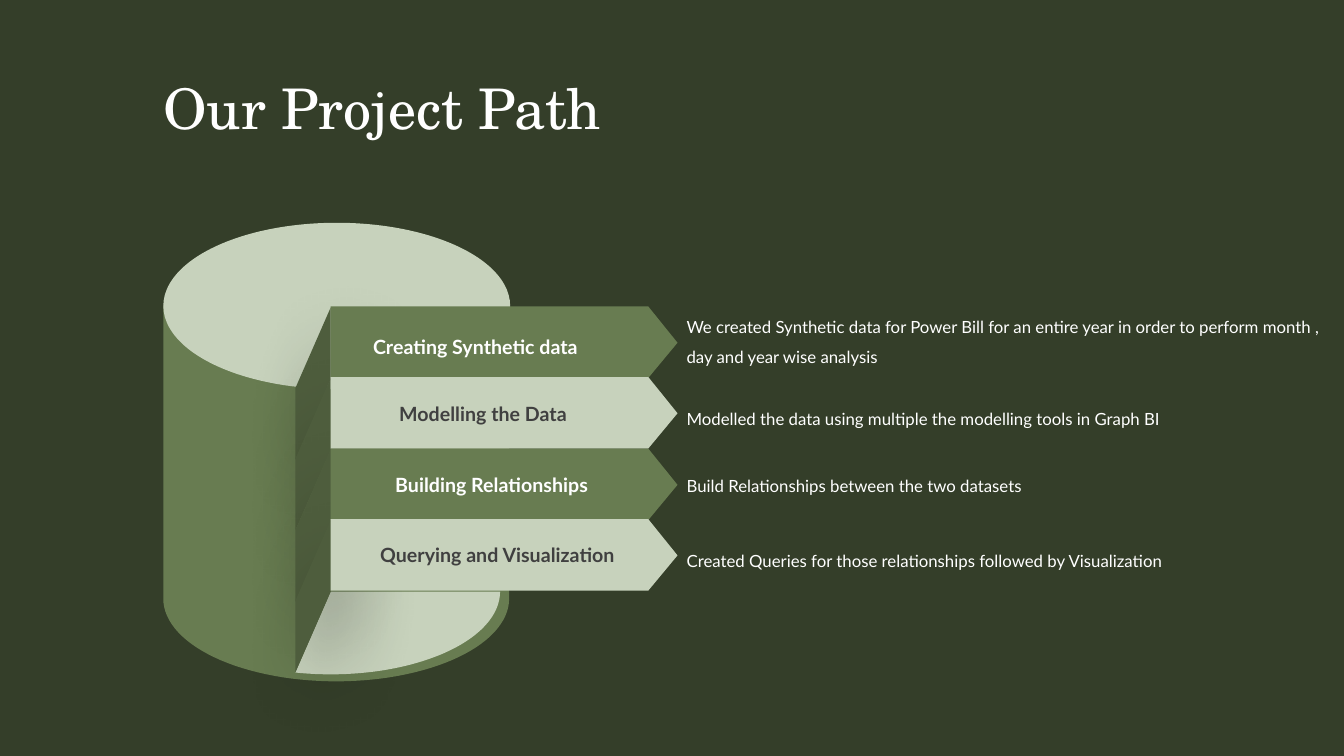
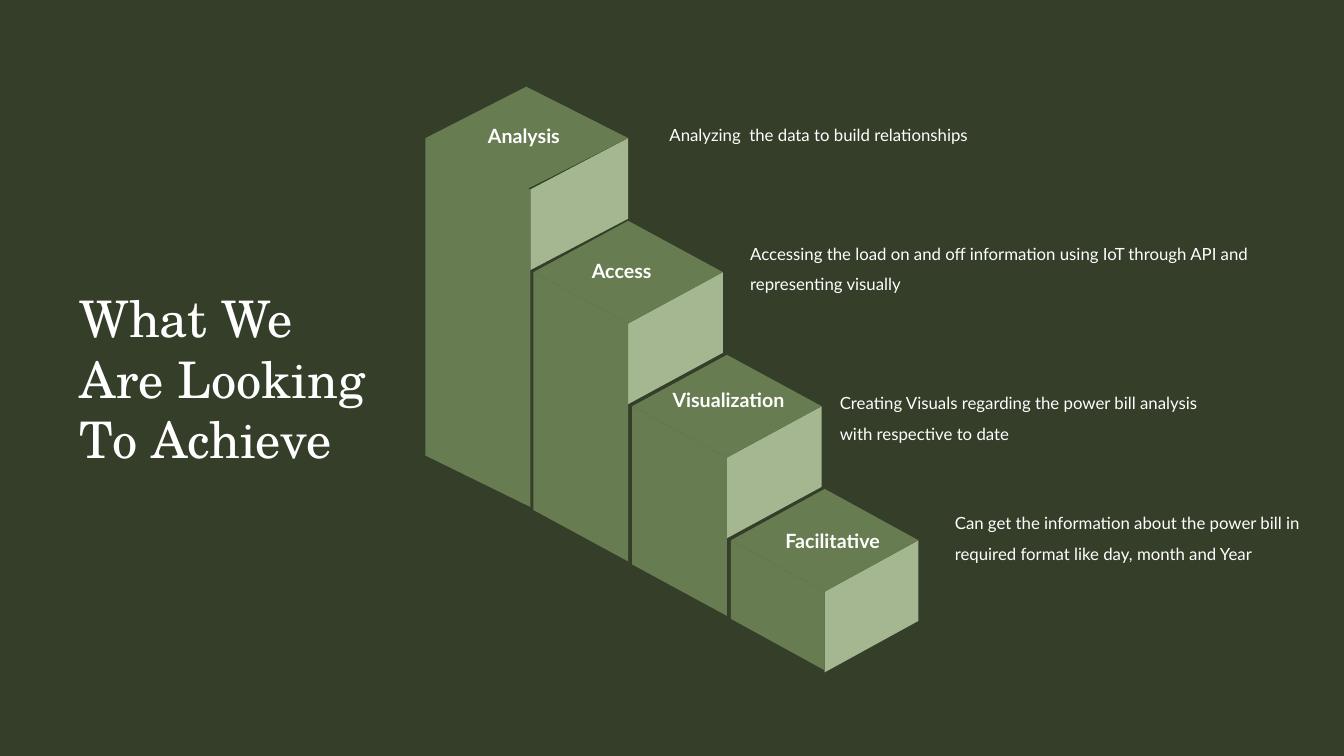
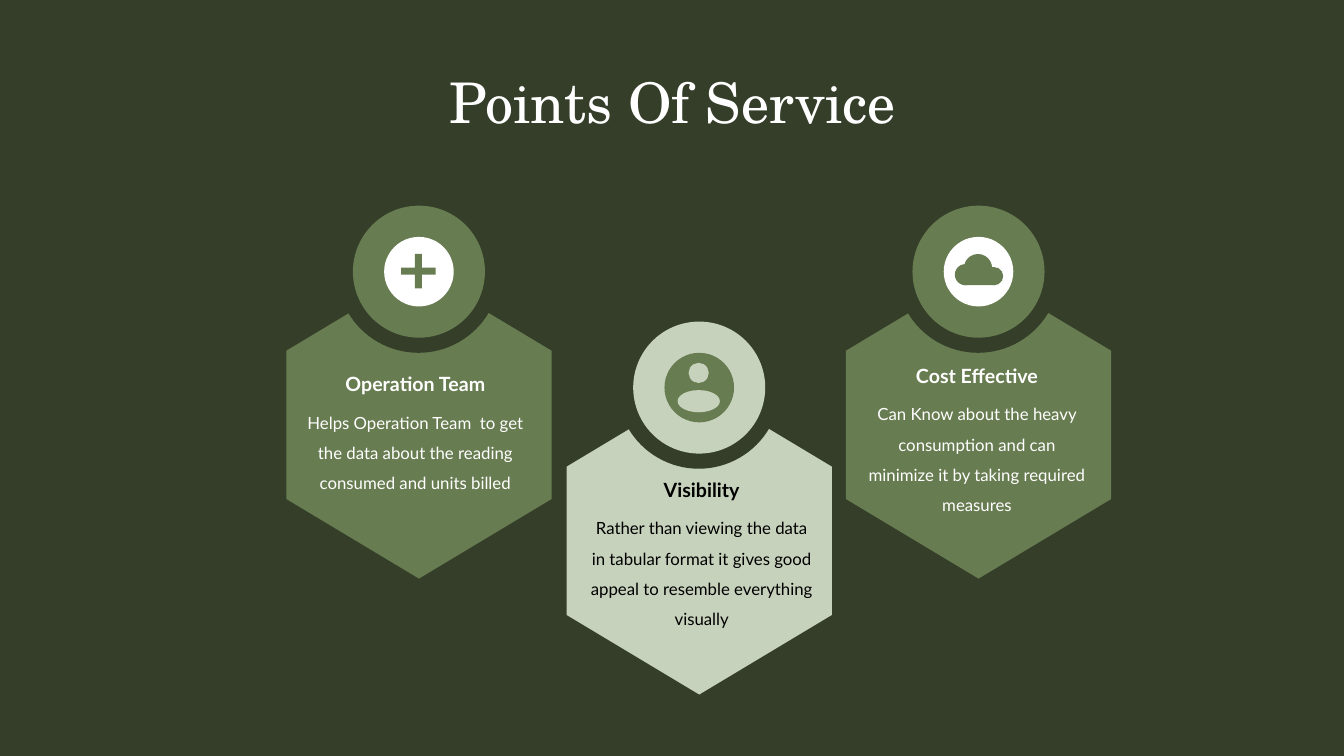
from dataclasses import dataclass
from math import cos, radians, sin

from lxml.etree import SubElement
from pptx import Presentation
from pptx.dml.color import RGBColor
from pptx.enum.shapes import MSO_SHAPE as SHAPE
from pptx.enum.text import MSO_ANCHOR as ANCHOR, MSO_AUTO_SIZE as AUTO, PP_ALIGN as ALIGN
from pptx.oxml.ns import qn
from pptx.util import Pt

PX = 9144  # one px is a hundredth of an inch
TITLE_ONLY = 5


@dataclass(frozen=True)
class Theme:
    ground: str = "343E29"
    green: str = "687C51"
    pale: str = "C7D2BC"
    light: str = "A5B790"
    wall: str = "4E5D3D"
    white: str = "FFFFFF"
    grey: str = "404040"
    black: str = "000000"
    title_font: str = "TeX Gyre Schola"
    text_font: str = "Lato"
    title_size: int = 40
    side_title_size: int = 36
    label_size: int = 14
    note_size: int = 12
    title_spacing: int = 44
    note_spacing: float = 1.5


T = Theme()
FRAME = dict(word_wrap=True, auto_size=AUTO.NONE, margin_left=0, margin_right=0,
             margin_top=0, margin_bottom=0)
LABEL = dict(name=T.text_font, size=Pt(T.label_size), bold=True)
NOTE = dict(name=T.text_font, size=Pt(T.note_size), bold=False)


def apply(target, values):
    for key, value in values.items():
        setattr(target, key, value)


def arc(cx, cy, rx, ry, start, end, steps=60):
    """Points on an ellipse, clockwise in degrees from the right."""
    angles = [radians(start + (end - start) * i / steps) for i in range(steps + 1)]
    return [(cx + rx * cos(a), cy + ry * sin(a)) for a in angles]


class Deck:
    def __init__(self, width, height):
        self.prs = Presentation()
        self.prs.slide_width, self.prs.slide_height = width * PX, height * PX
        fill = self.prs.slide_master.background.fill
        fill.solid()
        fill.fore_color.rgb = RGBColor.from_string(T.ground)
        self.slide = None

    def new_slide(self):
        self.slide = self.prs.slides.add_slide(self.prs.slide_layouts[TITLE_ONLY])

    # Text
    def set_text(self, s, text, font, color, align, spacing, anchor):
        tf = s.text_frame
        apply(tf, FRAME)
        tf.vertical_anchor = anchor
        p = tf.paragraphs[0]
        apply(p, dict(alignment=align, line_spacing=spacing))
        r = p.add_run()
        r.text = text
        apply(r.font, font)
        r.font.color.rgb = RGBColor.from_string(color)

    def title(self, box, text, size=T.title_size, align=ALIGN.LEFT, spacing=None):
        s = self.slide.shapes.title
        s.left, s.top, s.width, s.height = (v * PX for v in box)
        font = dict(name=T.title_font, size=Pt(size))
        self.set_text(s, text, font, T.white, align, spacing, ANCHOR.MIDDLE)

    def text(self, box, text, font, color, align, spacing=None):
        s = self.slide.shapes.add_textbox(*(v * PX for v in box))
        self.set_text(s, text, font, color, align, spacing, ANCHOR.TOP)

    def label(self, box, text, color=T.white, align=ALIGN.LEFT):
        self.text(box, text, LABEL, color, align)

    def note(self, box, text, color=T.white, align=ALIGN.LEFT):
        self.text(box, text, NOTE, color, align, T.note_spacing)

    # Shapes
    def paint(self, s, color):
        s.shadow.inherit = False
        s.fill.solid()
        s.fill.fore_color.rgb = RGBColor.from_string(color)
        s.line.fill.background()
        return s

    def shape(self, kind, box, color, adjust=None, rotation=0):
        s = self.slide.shapes.add_shape(kind, *(v * PX for v in box))
        if adjust is not None:
            s.adjustments[0] = adjust
        s.rotation = rotation
        return self.paint(s, color)

    def outline(self, points, color):
        (x, y), *rest = [(round(x * PX), round(y * PX)) for x, y in points]
        builder = self.slide.shapes.build_freeform(x, y)
        builder.add_line_segments(rest, close=True)
        return self.paint(builder.convert_to_shape(), color)

    def cast_shadow(self, s, blur=52, dist=20, angle=45, opacity=40):
        effects = s._element.spPr.find(qn("a:effectLst"))
        shadow = SubElement(effects, qn("a:outerShdw"), blurRad=str(Pt(blur)),
                            dist=str(Pt(dist)), dir=str(angle * 60000),
                            algn="tl", rotWithShape="0")
        color = SubElement(shadow, qn("a:srgbClr"), val=T.black)
        SubElement(color, qn("a:alpha"), val=str(opacity * 1000))

    # Compound figures
    def step(self, left, mid, right, top, base):
        """A block with a front side, a lit end and a rhombic top."""
        depth, thick = 51, 80
        shoulder, corner = top + depth, top + 2 * depth
        self.outline([(right, shoulder), (right, shoulder + thick),
                      (mid, corner + thick), (mid, corner)], T.light)
        self.outline([(left, shoulder), (mid, corner),
                      (mid, base + depth), (left, base)], T.green)
        apex = (left + right) // 2
        self.outline([(apex, top), (right, shoulder), (apex, corner), (left, shoulder)],
                     T.green)

    def card(self, cx, top, color, disc, mark, icon):
        """A hexagon with a badge; icon parts are offsets from the badge centre."""
        cy = top + 81
        self.shape(SHAPE.HEXAGON, (cx - 152, top + 102, 305, 263), color, 0.3, 90)
        for size, fill in ((162, T.ground), (131, color), (69, disc)):
            self.shape(SHAPE.OVAL, (cx - size // 2, cy - size // 2, size, size), fill)
        for kind, dx, dy, w, h, adjust in icon:
            self.shape(kind, (cx + dx, cy + dy, w, h), mark, adjust)


def project_path(deck):
    deck.new_slide()
    deck.title((162, 78, 1010, 62), "Our Project Path", spacing=Pt(T.title_spacing))

    # Cylinder with a cut-out floor
    deck.outline([(162, 303), (505, 303)] + arc(333.5, 594, 171.5, 82, 0, 180), T.green)
    deck.shape(SHAPE.OVAL, (162, 221, 344, 165), T.pale)
    deck.outline([(328, 587)] + arc(328, 587, 168, 82, 0, 102), T.pale)

    tops = [304 + 141 * i // 2 for i in range(4)]
    for y in tops:
        wall = deck.outline([(328, y + 1), (293, y + 81), (293, y + 152), (328, y + 72)],
                            T.wall)
        deck.cast_shadow(wall)

    # Arrow bands: label box, label, note box, note
    bands = [
        ((370, 332, 279, 24), "Creating Synthetic data", (681, 304, 636, 57),
         "We created Synthetic data for Power Bill for an entire year in order to "
         "perform month , day and year wise analysis"),
        ((396, 399, 196, 24), "Modelling the Data", (681, 396, 491, 26),
         "Modelled the data using multiple the modelling tools in Graph BI"),
        ((392, 469, 196, 24), "Building Relationships", (681, 462, 438, 27),
         "Build Relationships between the two datasets"),
        ((377, 539, 265, 24), "Querying and Visualization", (681, 536, 592, 26),
         "Created Queries for those relationships followed by Visualization"),
    ]
    looks = [(T.green, T.white), (T.pale, T.grey)] * 2
    for y, (fill, ink), (label_box, label, note_box, note) in zip(tops, looks, bands):
        deck.outline([(328, y), (643, y), (672, y + 36), (643, y + 71), (328, y + 71)], fill)
        deck.label(label_box, label, ink)
        deck.note(note_box, note)


def goals(deck):
    deck.new_slide()
    deck.title((79, 284, 285, 182), "What We Are Looking To Achieve", T.side_title_size)

    # Steps: left, middle and right edge, label box, label, note box, note
    steps = [
        ((422, 526, 623), (484, 123, 96, 24), "Analysis", (664, 114, 466, 26),
         "Analyzing  the data to build relationships"),
        ((529, 623, 717), (587, 257, 112, 24), "Access", (744, 232, 558, 57),
         "Accessing the load on and off information using IoT through API and "
         "representing visually"),
        ((627, 721, 815), (667, 385, 129, 24), "Visualization", (833, 380, 380, 57),
         "Creating Visuals regarding the power bill analysis with respective to date"),
        ((725, 818, 911), (779, 525, 149, 24), "Facilitative", (947, 499, 368, 57),
         "Can get the information about the power bill in required format like day, "
         "month and Year"),
    ]
    for i, (edges, label_box, label, note_box, note) in enumerate(steps):
        deck.step(*edges, top=86 + 133 * i, base=452 + 54 * i)
        deck.label(label_box, label)
        deck.note(note_box, note)


def services(deck):
    deck.new_slide()
    deck.title((100, 72, 1134, 62), "Points Of Service", align=ALIGN.CENTER,
               spacing=Pt(T.title_spacing))

    plus = [(SHAPE.CROSS, -17, -17, 34, 34, 0.4)]
    person = [(SHAPE.OVAL, -10, -24, 20, 20, None), (SHAPE.OVAL, -21, 3, 42, 22, None)]
    cloud = [(SHAPE.OVAL, -23, -7, 21, 21, None), (SHAPE.OVAL, -14, -17, 28, 28, None),
             (SHAPE.OVAL, 7, -4, 18, 18, None), (SHAPE.RECTANGLE, -13, -4, 29, 18, None)]
    green_look = (T.green, T.white, T.green)
    pale_look = (T.pale, T.green, T.pale)

    # Cards: centre, top, colours, icon, ink, text left and top, heading, body
    cards = [
        (415, 188, green_look, plus, T.white, 301, 369, "Operation Team",
         "Helps Operation Team  to get the data about the reading consumed and units billed"),
        (693, 303, pale_look, person, T.black, 585, 474, "Visibility",
         "Rather than viewing the data in tabular format it gives good appeal to "
         "resemble everything visually"),
        (970, 188, green_look, cloud, T.white, 858, 361, "Cost Effective",
         "Can Know about the heavy consumption and can minimize it by taking "
         "required measures"),
    ]
    for cx, top, look, icon, ink, x, y, heading, body in cards:
        deck.card(cx, top, *look, icon)
        deck.label((x, y, 222, 24), heading, ink, ALIGN.CENTER)
        deck.note((x, y + 30, 222, 118), body, ink, ALIGN.CENTER)


def main():
    deck = Deck(1333, 750)
    for build in (project_path, goals, services):
        build(deck)
    deck.prs.save("out.pptx")


if __name__ == "__main__":
    main()
